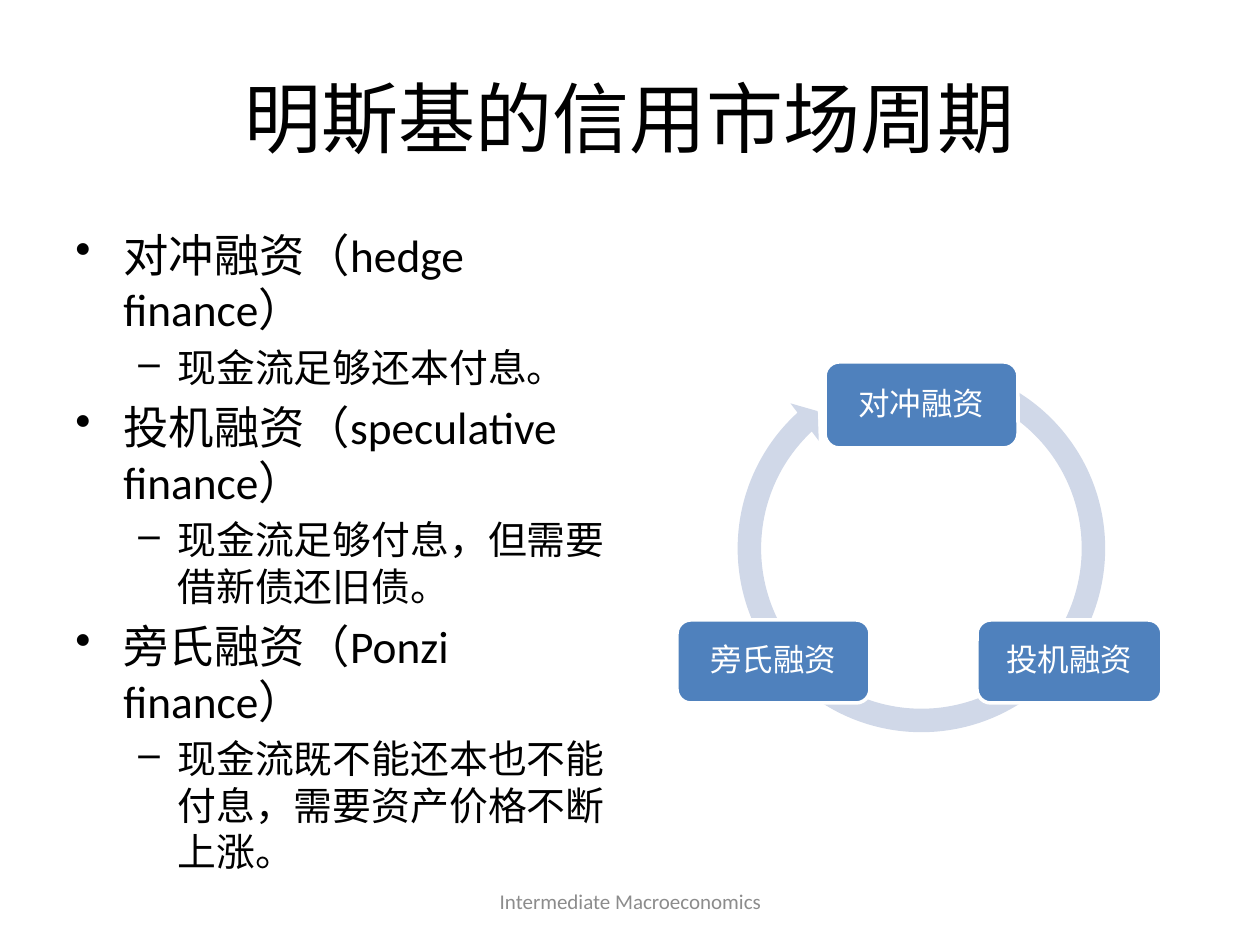
import pptx
import pptx.dml.color
import pptx.enum.shapes
import pptx.enum.text
import pptx.util
from lxml import etree

PX_PER_INCH = 126
FONT = "Calibri"
BLACK, WHITE, GREY = "000000", "FFFFFF", "8C8C8C"
NODE_BLUE, ARROW_BLUE = "4F81BD", "D0D8E8"
CENTER = pptx.enum.text.PP_ALIGN.CENTER
MIDDLE = pptx.enum.text.MSO_ANCHOR.MIDDLE
SHAPES = pptx.enum.shapes.MSO_SHAPE

FINANCE_TYPES = [
    ("对冲融资（hedge finance）", "现金流足够还本付息。"),
    ("投机融资（speculative finance）", "现金流足够付息，但需要借新债还旧债。"),
    ("旁氏融资（Ponzi finance）", "现金流既不能还本也不能付息，需要资产价格不断上涨。"),
]
# Outline level: bullet sign, left margin and hanging indent in px, size in points
LEVELS = [("•", 48, 48, 25.9), ("–", 102, 39, 22.2)]

CYCLE_NODES = [
    ("对冲融资", (825, 362, 193, 86)),
    ("投机融资", (977, 620, 185, 83)),
    ("旁氏融资", (677, 620, 193, 83)),
]
# Band width, head angle, end angle, start angle, head width
ARROW_ADJUSTMENTS = (0.06, 3.41, 136.35, 174.66, 0.06)


def px(length):
    return pptx.util.Emu(round(length * 914400 / PX_PER_INCH))


def color(hex_string):
    return pptx.dml.color.RGBColor.from_string(hex_string)


def apply(target, formats):
    for name, value in formats.items():
        setattr(target, name, value)


def style_font(paragraph, size, hex_string):
    apply(paragraph.font, {"name": FONT, "size": pptx.util.Pt(size)})
    paragraph.font.color.rgb = color(hex_string)


def add_text_frame(slide, box):
    frame = slide.shapes.add_textbox(*map(px, box)).text_frame
    frame.word_wrap = True
    return frame


def add_centered_line(frame, text, size, hex_string):
    frame.vertical_anchor = MIDDLE
    line = frame.paragraphs[0]
    line.text = text
    line.alignment = CENTER
    style_font(line, size, hex_string)
    return line


def add_bullet(paragraph, level):
    sign, margin, hanging, size = LEVELS[level]
    paragraph.level = level
    properties = paragraph._p.get_or_add_pPr()
    properties.set("marL", str(px(margin)))
    properties.set("indent", str(-px(hanging)))
    bullet = etree.SubElement(properties, pptx.oxml.ns.qn("a:buChar"))
    bullet.set("char", sign)
    style_font(paragraph, size, BLACK)


def add_outline(slide, box):
    frame = add_text_frame(slide, box)
    entries = [(level, text) for pair in FINANCE_TYPES
               for level, text in enumerate(pair)]
    for index, (level, text) in enumerate(entries):
        paragraph = frame.add_paragraph() if index else frame.paragraphs[0]
        paragraph.text = text
        add_bullet(paragraph, level)
        if index:
            paragraph.space_before = pptx.util.Pt(round(LEVELS[level][3] * 0.2, 1))


def add_filled_shape(slide, preset, box, fill):
    shape = slide.shapes.add_shape(preset, *map(px, box))
    shape.shadow.inherit = False
    shape.fill.solid()
    shape.fill.fore_color.rgb = color(fill)
    return shape


def add_cycle_arrow(slide, box):
    arrow = add_filled_shape(slide, SHAPES.CIRCULAR_ARROW, box, ARROW_BLUE)
    arrow.line.fill.background()
    for index, value in enumerate(ARROW_ADJUSTMENTS):
        arrow.adjustments[index] = value


def add_cycle_node(slide, label, box):
    node = add_filled_shape(slide, SHAPES.ROUNDED_RECTANGLE, box, NODE_BLUE)
    node.line.color.rgb = color(WHITE)
    node.line.width = pptx.util.Pt(2)
    frame = node.text_frame
    sides = ("left", "right", "top", "bottom")
    apply(frame, {f"margin_{side}": px(9) for side in sides})
    frame.word_wrap = True
    add_centered_line(frame, label, 18, WHITE).line_spacing = 0.9


def main():
    presentation = pptx.Presentation()
    apply(presentation, {"slide_width": px(1260), "slide_height": px(945)})
    slide = presentation.slides.add_slide(presentation.slide_layouts[6])

    # Title and outline
    title = add_text_frame(slide, (63, 38, 1134, 158))
    add_centered_line(title, "明斯基的信用市场周期", 44, BLACK)
    add_outline(slide, (63, 221, 557, 624))

    # Footer
    footer = add_text_frame(slide, (431, 876, 399, 50))
    add_centered_line(footer, "Intermediate Macroeconomics", 12, GREY)

    # Credit cycle
    add_cycle_arrow(slide, (726, 353, 391, 391))
    for label, box in CYCLE_NODES:
        add_cycle_node(slide, label, box)

    presentation.save("out.pptx")


if __name__ == "__main__":
    main()
